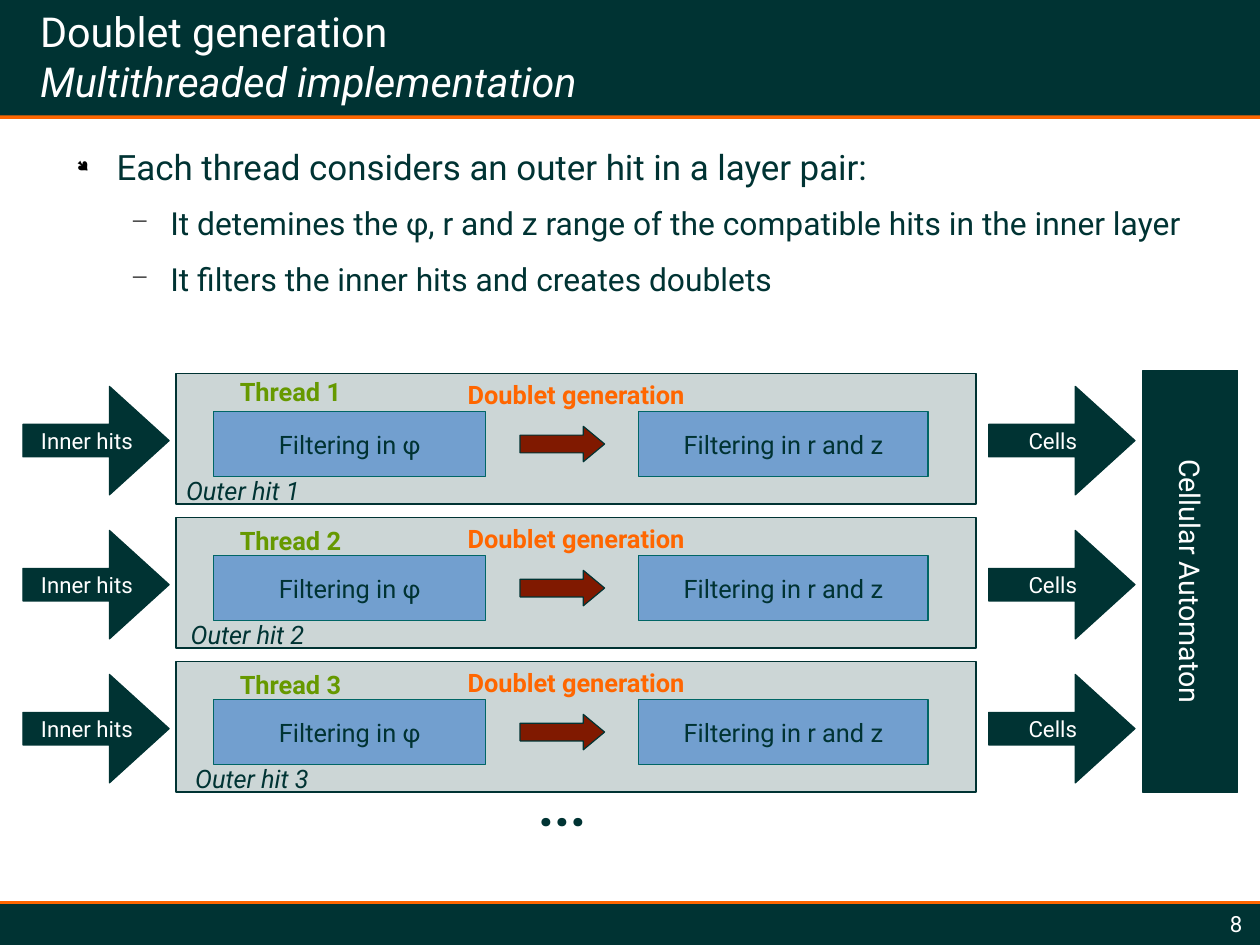
import pptx
import pptx.dml.color
import pptx.enum.shapes
import pptx.enum.text
import pptx.oxml.ns
import pptx.util
from lxml import etree

Inches, Pt, Cm = pptx.util.Inches, pptx.util.Pt, pptx.util.Cm
RGBColor = pptx.dml.color.RGBColor
SHAPE = pptx.enum.shapes.MSO_SHAPE
ALIGN = pptx.enum.text.PP_ALIGN
ANCHOR = pptx.enum.text.MSO_ANCHOR
qn = pptx.oxml.ns.qn

DARK = RGBColor(0x00, 0x33, 0x33)
ORANGE = RGBColor(0xFF, 0x66, 0x00)
GREEN = RGBColor(0x66, 0x99, 0x00)
BLUE = RGBColor(0x72, 0x9F, 0xCF)
TEAL = RGBColor(0x00, 0x66, 0x66)
RED = RGBColor(0x80, 0x19, 0x00)
WHITE = RGBColor(0xFF, 0xFF, 0xFF)
FONT = "Roboto"

WIDTH, HEIGHT = Cm(28).inches, Cm(21).inches
HEADER_BOTTOM, FOOTER_TOP = 1.01, 7.91
TITLE = "Doublet generation\vMultithreaded implementation"
# level, text
BULLETS = [
    (0, "Each thread considers an outer hit in a layer pair:"),
    (1, "It detemines the φ, r and z range of the compatible hits in the inner layer"),
    (1, "It filters the inner hits and creates doublets"),
]
# bullet sign, its font, its size in percent, text size, space after, left margin
LEVELS = [
    ("●", "Wingdings", 45, 22, 10.5, 0.47),
    ("−", "Symbol", 75, 20, 11.3, 0.94),
]
# thread label, its offset from the panel top, outer hit label, its left edge
THREADS = [
    ("Thread 1", -0.05, "Outer hit 1", 1.53),
    ("Thread 2", 0.0, "Outer hit 2", 1.57),
    ("Thread 3", 0.0, "Outer hit 3", 1.61),
]
FILTERS = [("Filtering in φ", 1.87, 2.38), ("Filtering in r and z", 5.59, 2.53)]
FLOWS = [("Inner hits", 0.2), ("Cells", 8.65)]
PANEL_TOP, PANEL_PITCH = 3.27, 1.26

deck = pptx.Presentation()
deck.slide_width, deck.slide_height = Cm(28), Cm(21)
slide = deck.slides.add_slide(deck.slide_layouts[5])


def write(shape, text, size, color, align=ALIGN.CENTER, anchor=ANCHOR.MIDDLE,
          margins=(0.1, 0.05), wrap=True, bold=False, italic=False):
    frame = shape.text_frame
    frame.text = text
    frame.word_wrap = wrap
    frame.vertical_anchor = anchor
    frame.margin_left = frame.margin_right = Inches(margins[0])
    frame.margin_top = frame.margin_bottom = Inches(margins[1])
    for paragraph in frame.paragraphs:
        paragraph.alignment = align
        for run in paragraph.runs:
            style(run.font, size, color, bold, italic)


def style(font, size, color, bold=False, italic=False):
    font.name, font.size, font.bold, font.italic = FONT, Pt(size), bold, italic
    font.color.rgb = color


def block(kind, box, fill, outline=None):
    shape = slide.shapes.add_shape(kind, *map(Inches, box))
    shape.shadow.inherit = False
    shape.fill.solid()
    shape.fill.fore_color.rgb = fill
    if outline is None:
        shape.line.fill.background()
    else:
        shape.line.color.rgb = outline
        shape.line.width = Pt(0)
    return shape


def right_arrow(box, fill, shaft, head):
    arrow = block(SHAPE.RIGHT_ARROW, box, fill, DARK)
    arrow.adjustments[0], arrow.adjustments[1] = shaft, head
    return arrow


def label(box, text, size, color, **options):
    text_box = slide.shapes.add_textbox(*map(Inches, box))
    write(text_box, text, size, color, **options)
    return text_box


def add_bullet(paragraph, sign, typeface, percent, left):
    properties = paragraph._p.get_or_add_pPr()
    properties.set("marL", str(Inches(left)))
    properties.set("indent", str(Inches(-0.35)))
    color = etree.SubElement(properties, qn("a:buClr"))
    etree.SubElement(color, qn("a:srgbClr"), val="000000")
    etree.SubElement(properties, qn("a:buSzPct"), val=str(percent * 1000))
    etree.SubElement(properties, qn("a:buFont"), typeface=typeface)
    etree.SubElement(properties, qn("a:buChar"), char=sign)


# Header and footer
for y in (FOOTER_TOP, HEADER_BOTTOM):
    rule = slide.shapes.add_connector(
        pptx.enum.shapes.MSO_CONNECTOR.STRAIGHT, 0, Inches(y), Inches(WIDTH), Inches(y))
    rule.line.color.rgb = ORANGE
    rule.line.width = Pt(4.25)
    etree.SubElement(rule._element.spPr, qn("a:effectLst"))
for top, height in ((0, HEADER_BOTTOM), (FOOTER_TOP, HEIGHT - FOOTER_TOP)):
    block(SHAPE.RECTANGLE, (0, top, WIDTH, height), DARK)

title = slide.shapes.title
title.left, title.top, title.width, title.height = map(Inches, (0, -0.02, 8.9, 1.02))
title.fill.solid()
title.fill.fore_color.rgb = DARK
write(title, TITLE, 26, WHITE, align=ALIGN.LEFT, margins=(0, 0))
title.text_frame.auto_size = pptx.enum.text.MSO_AUTO_SIZE.NONE
heading = title.text_frame.paragraphs[0]
heading._p.get_or_add_pPr().set("marL", str(Inches(0.35)))
heading.line_spacing = 1.0
heading.runs[1].font.italic = True
title.element.getparent().append(title.element)  # in front of the header bar

# Bullets
summary = label((0.55, 1.27, 9.92, 1.81), "\n".join(text for _, text in BULLETS),
                22, DARK, align=ALIGN.LEFT, anchor=ANCHOR.TOP, margins=(0, 0))
for point, (level, _) in zip(summary.text_frame.paragraphs, BULLETS):
    sign, typeface, percent, size, after, left = LEVELS[level]
    point.level = level
    point.space_after = Pt(after)
    point.runs[0].font.size = Pt(size)
    add_bullet(point, sign, typeface, percent, left)

# One panel per thread
for row, (thread, thread_offset, outer_hit, hit_left) in enumerate(THREADS):
    top = PANEL_TOP + row * PANEL_PITCH
    panel = block(SHAPE.RECTANGLE, (1.54, top, 7, 1.14), DARK, DARK)
    panel_color = panel.fill._xPr.find(qn("a:solidFill"))[0]
    etree.SubElement(panel_color, qn("a:alpha"), val="20000")
    write(panel, "Doublet generation", 16, ORANGE, anchor=ANCHOR.TOP, bold=True)
    for text, left in FLOWS:
        flow = right_arrow((left, top + 0.11, 1.28, 0.95), DARK, 0.3, 0.55)
        write(flow, text, 14, WHITE)
    for text, left, width in FILTERS:
        step = block(SHAPE.RECTANGLE, (left, top + 0.33, width, 0.57), BLUE, TEAL)
        write(step, text, 16, DARK, wrap=False)
    right_arrow((4.55, top + 0.46, 0.74, 0.31), RED, 0.5, 0.6)
    label((hit_left, top + 0.82, 1.27, 0.4), outer_hit, 16, DARK,
          align=ALIGN.LEFT, italic=True)
    label((2, top + thread_offset, 1.27, 0.4), thread, 16, GREEN,
          align=ALIGN.LEFT, bold=True)

label((4.02, 6.4, 1.81, 1.27), "...", 35, DARK, bold=True)
automaton = block(SHAPE.RECTANGLE, (8.57, 4.67, 3.69, 0.83), DARK, DARK)
automaton.rotation = 90
write(automaton, "Cellular Automaton", 18, WHITE)
label((9.37, 7.96, 1.5, 0.22), "8", 14, WHITE, align=ALIGN.RIGHT,
      anchor=ANCHOR.TOP, margins=(0, 0))

deck.save("out.pptx")
